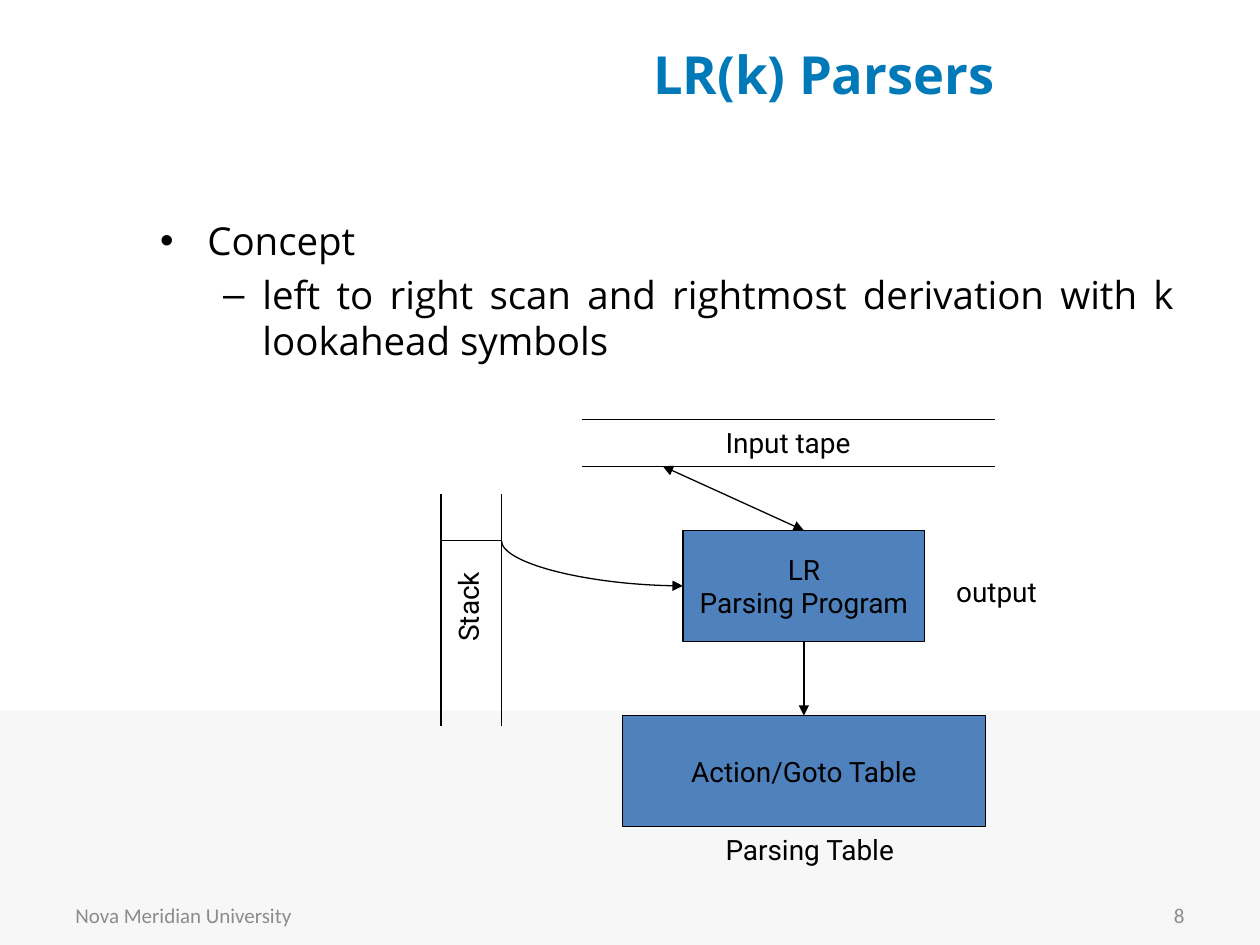
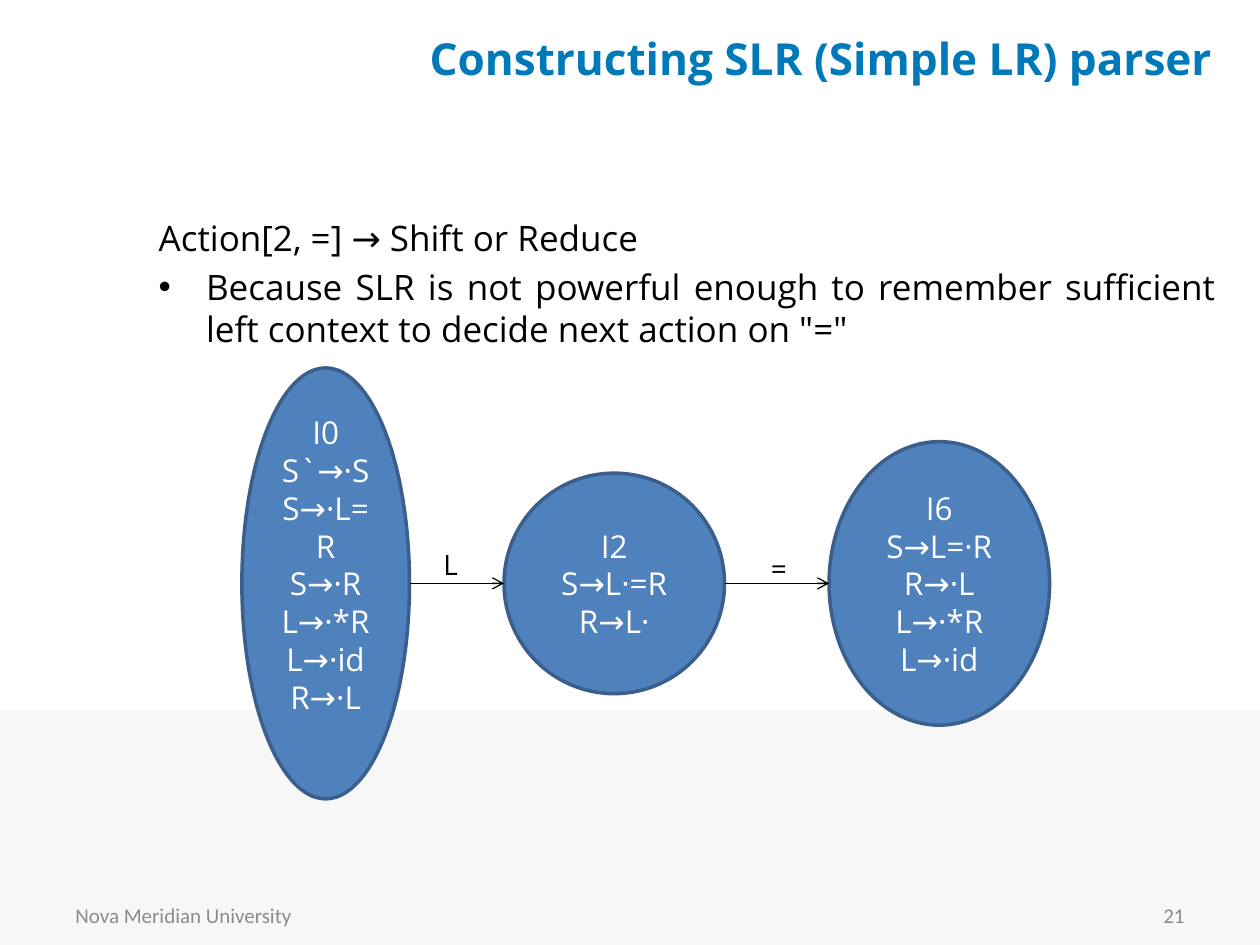
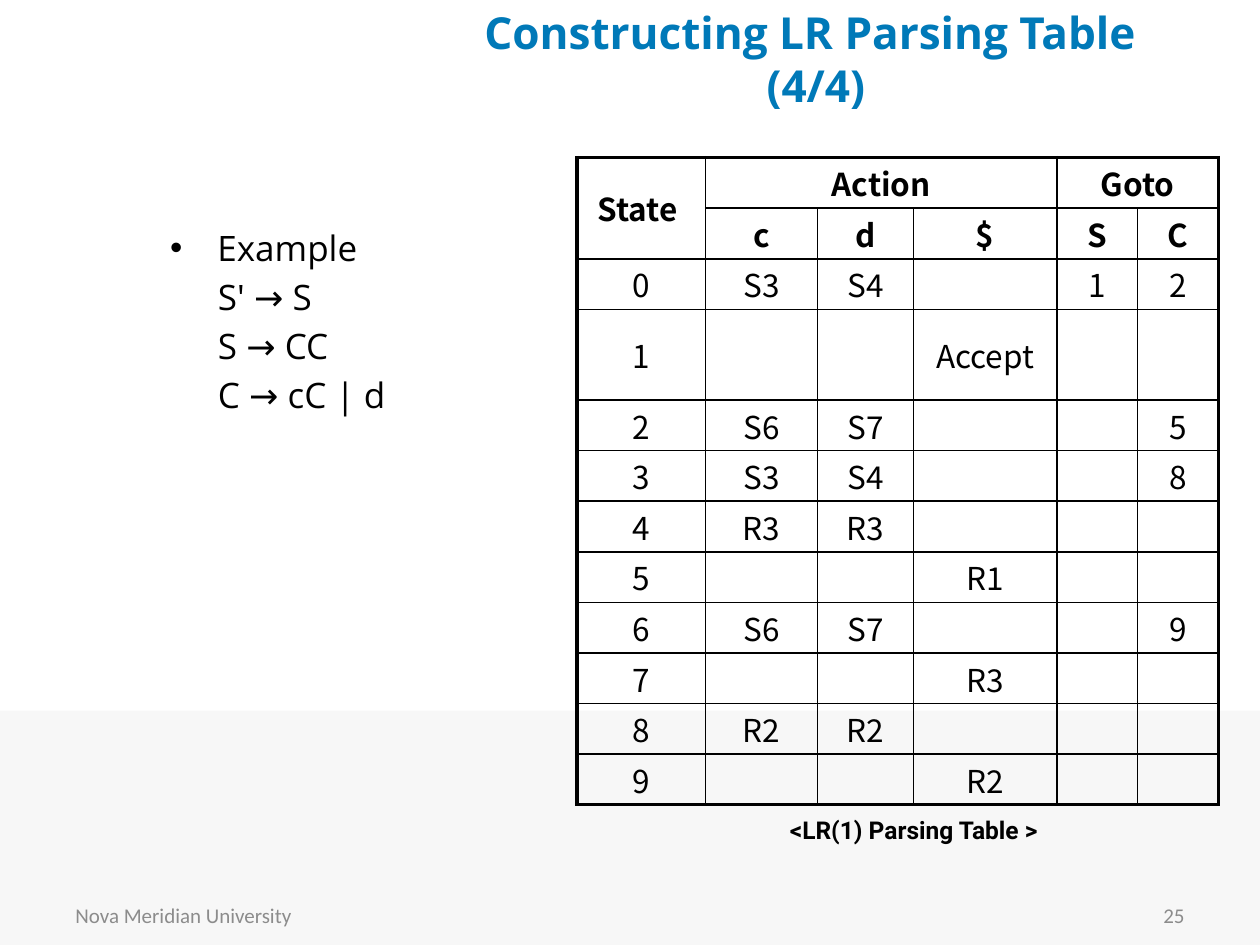
from dataclasses import dataclass

from pptx import Presentation
from pptx.dml.color import RGBColor
from pptx.enum import shapes as kinds, text as texts
from pptx.oxml import ns, xmlchemy
from pptx.util import Inches, Pt

ALIGN = texts.PP_ALIGN
MIDDLE, TOP = texts.MSO_ANCHOR.MIDDLE, texts.MSO_ANCHOR.TOP


@dataclass(frozen=True)
class Theme:
    title: str = "0079B8"
    ink: str = "000000"
    light: str = "FFFFFF"
    muted: str = "8C8C8C"
    band: str = "F7F7F7"
    node: str = "4F81BD"
    node_edge: str = "3A5F8C"
    main_font: str = "Open Sans"
    label_font: str = "Roboto"
    table_font: str = "Noto Sans CJK KR"
    footer_font: str = "Calibri"
    title_size: float = 25.2
    big_title_size: float = 30
    body_size: float = 20
    big_body_size: float = 22
    cell_size: float = 18
    label_size: float = 16
    caption_size: float = 14
    footer_size: float = 12
    hairline: float = 0.75
    thin: float = 1
    rule: float = 1.5
    ring: float = 2
    frame: float = 2.25


@dataclass(frozen=True)
class Box:
    left: float
    top: float
    width: float = 0
    height: float = 0

    def inner(self, left, top, width=0, height=0):
        return Box(self.left + left, self.top + top, width, height)

    def lengths(self):
        return [Inches(n) for n in (self.left, self.top, self.width, self.height)]


THEME = Theme()
FOOTER = "Nova Meridian University"


# ---- Shared helpers ----
def add_xml(parent, tag, **attributes):
    child = xmlchemy.OxmlElement(tag)
    for name, value in attributes.items():
        child.set(name, str(value))
    parent.append(child)
    return child


def write(frame, content, font=THEME.main_font, size=THEME.label_size,
          color=THEME.ink, bold=False, align=ALIGN.LEFT, anchor=TOP, wrap=True):
    """Fill a text frame; content is one paragraph or a list of them."""
    frame.word_wrap = wrap
    frame.auto_size = texts.MSO_AUTO_SIZE.NONE
    frame.vertical_anchor = anchor
    lines = [content] if isinstance(content, str) else content
    for index, line in enumerate(lines):
        paragraph = frame.paragraphs[0] if index == 0 else frame.add_paragraph()
        paragraph.text = line
        paragraph.alignment = align
        for run in paragraph.runs:
            run.font.name = font
            run.font.size = Pt(size)
            run.font.bold = bold
            run.font.color.rgb = RGBColor.from_string(color)


def add_label(slide, box, content, rotation=0, **style):
    label = slide.shapes.add_textbox(*box.lengths())
    label.rotation = rotation
    write(label.text_frame, content, **style)


def add_node(slide, kind, box, fill, edge=None, width=THEME.hairline):
    node = slide.shapes.add_shape(kind, *box.lengths())
    node.shadow.inherit = False
    node.fill.solid()
    node.fill.fore_color.rgb = RGBColor.from_string(fill)
    if edge:
        node.line.color.rgb = RGBColor.from_string(edge)
        node.line.width = Pt(width)
    else:
        node.line.fill.background()
    return node


def add_line(slide, box, start, end, head=None, tail=None,
             kind=kinds.MSO_CONNECTOR.STRAIGHT):
    """Draw a line between two points given relative to the box."""
    ends = [Inches(n) for n in (box.left + start[0], box.top + start[1],
                                box.left + end[0], box.top + end[1])]
    line = slide.shapes.add_connector(kind, *ends)
    line.line.color.rgb = RGBColor.from_string(THEME.ink)
    line.line.width = Pt(THEME.hairline)
    properties = line.element.spPr
    outline = properties.find(ns.qn("a:ln"))
    for tag, arrow in (("a:headEnd", head), ("a:tailEnd", tail)):
        if arrow:
            add_xml(outline, tag, type=arrow)
    add_xml(properties, "a:effectLst")
    return line


def add_curve(slide, box, start, end, tail):
    """Quarter curve that leaves downwards and arrives from the left."""
    middle_x, middle_y = (start[0] + end[0]) / 2, (start[1] + end[1]) / 2
    half_x, half_y = (end[0] - start[0]) / 2, (end[1] - start[1]) / 2
    curve = add_line(slide, box, (middle_x + half_y, middle_y - half_x),
                     (middle_x - half_y, middle_y + half_x), tail=tail,
                     kind=kinds.MSO_CONNECTOR.CURVE)
    properties = curve.element.spPr
    properties.find(ns.qn("a:xfrm")).set("rot", str(270 * 60000))
    properties.find(ns.qn("a:prstGeom")).set("prst", "curvedConnector2")


def place(shape, box):
    shape.left, shape.top, shape.width, shape.height = box.lengths()


def remove_bullet(paragraph, indent):
    properties = paragraph._p.get_or_add_pPr()
    properties.set("marL", str(Inches(indent)))
    properties.set("indent", "0")
    add_xml(properties, "a:buNone")


# ---- Slide frame ----
def add_band(presentation, slide):
    """Put the grey bottom band on the master, behind everything."""
    band = add_node(slide, kinds.MSO_SHAPE.RECTANGLE,
                    Box(0, 5.64, 10, 1.86), THEME.band)
    presentation.slide_master.shapes.element.insert(2, band.element)


def add_slide(presentation, title, title_box, number, title_size=THEME.title_size):
    slide = presentation.slides.add_slide(presentation.slide_layouts[1])
    place(slide.shapes.title, title_box)
    write(slide.shapes.title.text_frame, title, size=title_size,
          color=THEME.title, bold=True, align=ALIGN.CENTER, anchor=MIDDLE)
    for left, content, align in ((0.5, FOOTER, ALIGN.LEFT),
                                 (7.17, str(number), ALIGN.RIGHT)):
        add_label(slide, Box(left, 7.06, 2.33, 0.4), content,
                  font=THEME.footer_font, size=THEME.footer_size,
                  color=THEME.muted, align=align, anchor=MIDDLE)
    return slide


def fill_body(slide, box, lines, **style):
    body = slide.placeholders[1]
    place(body, box)
    write(body.text_frame, lines, **style)
    return body.text_frame.paragraphs


# ---- Parser diagram ----
def parser_diagram(slide, box):
    style = dict(font=THEME.label_font)
    # Input tape, stack and its top
    for y in (0, 0.37):
        add_line(slide, box, (1.12, y), (4.4, y))
    for x in (0, 0.48):
        add_line(slide, box, (x, 0.59), (x, 2.43))
    add_line(slide, box, (0, 0.96), (0.48, 0.96))
    # Program and table
    for y, x, width, content in ((0.88, 1.92, 1.92, "LR\vParsing Program"),
                                 (2.35, 1.44, 2.88, "Action/Goto Table")):
        node = add_node(slide, kinds.MSO_SHAPE.RECTANGLE,
                        box.inner(x, y, width, 0.88), THEME.node, THEME.ink)
        write(node.text_frame, content, align=ALIGN.CENTER, anchor=MIDDLE,
              wrap=False, **style)
    # Links
    add_line(slide, box, (1.76, 0.37), (2.88, 0.88), "triangle", "triangle")
    add_line(slide, box, (2.88, 1.76), (2.88, 2.35), tail="triangle")
    add_curve(slide, box, (0.48, 0.96), (1.92, 1.32), "triangle")
    # Labels
    add_label(slide, box.inner(2.16, 0, 1.28, 0.34), "Input tape", **style)
    add_label(slide, box.inner(3.99, 1.18, 1.28, 0.34), "output", **style)
    add_label(slide, box.inner(2.16, 3.23, 1.68, 0.34), "Parsing Table", **style)
    add_label(slide, box.inner(-0.37, 1.09, 1.17, 0.37), "Stack", rotation=270,
              **style)


# ---- State diagram ----
STATES = [  # left, width, height, bottom inset, name, items
    (0, 1.33, 3.42, 0.35, "I0",
     ["S`→·S", "S→·L=R", "S→·R", "L→·*R", "L→·id", "R→·L"]),
    (2.08, 1.75, 1.75, 0.05, "I2", ["S→L·=R", "R→L·"]),
    (4.66, 1.75, 2.25, 0.05, "I6", ["S→L=·R", "R→·L", "L→·*R", "L→·id"]),
]
MOVES = [("L", 1.5, 1.38), ("=", 4.1, 1.41)]


def state_diagram(slide, box):
    middle = box.height / 2
    for left, width, height, inset, name, items in STATES:
        node = add_node(slide, kinds.MSO_SHAPE.OVAL,
                        box.inner(left, middle - height / 2, width, height),
                        THEME.node, THEME.node_edge, THEME.ring)
        write(node.text_frame, [name, "\v".join(items)], size=THEME.cell_size,
              color=THEME.light, align=ALIGN.CENTER, anchor=MIDDLE)
        node.text_frame.margin_bottom = Inches(inset)
    for source, target, (symbol, x, y) in zip(STATES, STATES[1:], MOVES):
        add_line(slide, box, (source[0] + source[1], middle), (target[0], middle),
                 tail="arrow")
        add_label(slide, box.inner(x, y, 0.39, 0.37), symbol)


# ---- Parsing table ----
COLUMNS = [1.02, 0.89, 0.76, 1.14, 0.64, 0.64]
HEADERS = 2
ROWS = [
    ["State\u00a0", "Action", "", "", "Goto", ""],
    ["", "c", "d", "$", "S", "C"],
    ["0", "S3", "S4", "", "1", "2"],
    ["1", "", "", "Accept", "", ""],
    ["2", "S6", "S7", "", "", "5"],
    ["3", "S3", "S4", "", "", "8"],
    ["4", "R3", "R3", "", "", ""],
    ["5", "", "", "R1", "", ""],
    ["6", "S6", "S7", "", "", "9"],
    ["7", "", "", "R3", "", ""],
    ["8", "R2", "R2", "", "", ""],
    ["9", "", "", "R2", "", ""],
]
MERGES = [((0, 0), (1, 0)), ((0, 1), (0, 3)), ((0, 4), (0, 5))]


def edge_width(position, last):
    return THEME.frame if position in (0, last) else THEME.thin


def row_edge_width(position):
    return THEME.rule if position == HEADERS else edge_width(position, len(ROWS))


def border_cell(cell, row, column):
    bottom, right = row + cell.span_height, column + cell.span_width
    if not cell.is_merge_origin:
        bottom, right = row + 1, column + 1
    widths = {"a:lnL": edge_width(column, len(COLUMNS)),
              "a:lnR": edge_width(right, len(COLUMNS)),
              "a:lnT": row_edge_width(row), "a:lnB": row_edge_width(bottom)}
    properties = cell._tc.get_or_add_tcPr()
    for tag, width in widths.items():
        line = add_xml(properties, tag, w=Pt(width))
        add_xml(add_xml(line, "a:solidFill"), "a:srgbClr", val=THEME.ink)


def parsing_table(slide, box):
    table = slide.shapes.add_table(len(ROWS), len(COLUMNS), *box.lengths()).table
    table.first_row = table.horz_banding = False
    for column, width in zip(table.columns, COLUMNS):
        column.width = Inches(width)
    for row, values in zip(table.rows, ROWS):
        row.height = Inches(0.72 if "Accept" in values else 0.38)
    for first, last in MERGES:
        table.cell(*first).merge(table.cell(*last))
    for row, values in enumerate(ROWS):
        for column, value in enumerate(values):
            cell = table.cell(row, column)
            if not cell.is_spanned:
                border_cell(cell, row, column)
            cell.fill.background()
            cell.vertical_anchor = MIDDLE
            cell.margin_left = cell.margin_right = Inches(0.02)
            cell.margin_top = cell.margin_bottom = Inches(0.02)
            if value:
                paragraph = cell.text_frame.paragraphs[0]
                paragraph.alignment = ALIGN.CENTER
                run = paragraph.add_run()
                run.text = value
                run.font.name = THEME.table_font
                run.font.size = Pt(THEME.cell_size)
                run.font.bold = row < HEADERS
                run.font.color.rgb = RGBColor.from_string(THEME.ink)


# ---- Slides ----
def concept_slide(presentation):
    slide = add_slide(presentation, "LR(k) Parsers", Box(3.27, 0.17, 6.54, 0.83),
                      8, THEME.big_title_size)
    add_band(presentation, slide)
    paragraphs = fill_body(
        slide, Box(1.17, 1.67, 8.25, 1.26),
        ["Concept", "left to right scan and rightmost derivation with k "
                    "lookahead symbols"],
        size=THEME.big_body_size, align=ALIGN.JUSTIFY)
    paragraphs[1].level = 1
    parser_diagram(slide, Box(3.5, 3.33))


def conflict_slide(presentation):
    slide = add_slide(presentation, "Constructing SLR (Simple LR) parser",
                      Box(3.17, 0.17, 6.69, 0.58), 21)
    paragraphs = fill_body(
        slide, Box(1.16, 1.67, 8.59, 5.5),
        ["Action[2, =] → Shift or Reduce",
         "Because SLR is not powerful enough to remember sufficient left "
         "context to decide next action on \"=\""],
        size=THEME.body_size, align=ALIGN.JUSTIFY)
    remove_bullet(paragraphs[0], 0)
    state_diagram(slide, Box(1.92, 2.92, 6.41, 3.42))


def table_slide(presentation):
    slide = add_slide(presentation, "Constructing LR Parsing Table \v(4/4)",
                      Box(3.13, 0.17, 6.69, 0.58), 25)
    paragraphs = fill_body(slide, Box(1.25, 1.75, 3, 5.14),
                           ["Example", "S' → S", "S → CC", "C → cC | d"],
                           size=THEME.body_size)
    for paragraph in paragraphs[1:]:
        remove_bullet(paragraph, 0.38)
    parsing_table(slide, Box(4.58, 1.25, 5.08, 4.92))
    add_label(slide, Box(6.17, 6.42, 2.68, 0.33), "<LR(1) Parsing Table >",
              font=THEME.label_font, size=THEME.caption_size, bold=True)


presentation = Presentation()
presentation.slide_width, presentation.slide_height = Inches(10), Inches(7.5)
concept_slide(presentation)
conflict_slide(presentation)
table_slide(presentation)
presentation.save("out.pptx")
